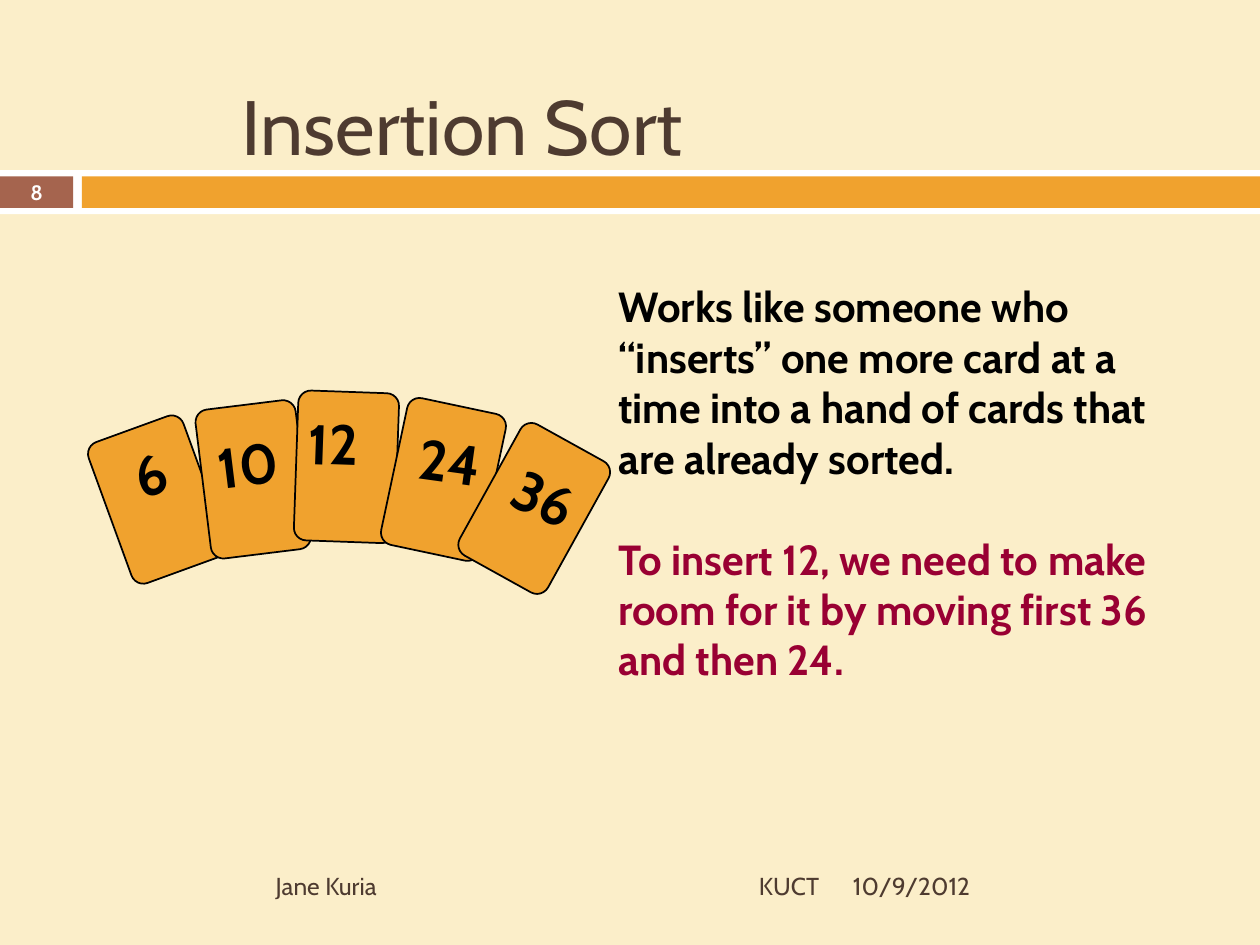
import pptx
import pptx.dml.color
import pptx.enum.shapes
import pptx.enum.text
import pptx.util

COLUMNS, ROWS = 100, 75
ALIGN = pptx.enum.text.PP_ALIGN
ANCHOR = pptx.enum.text.MSO_ANCHOR
AUTO_SIZE = pptx.enum.text.MSO_AUTO_SIZE
SHAPE = pptx.enum.shapes.MSO_SHAPE

CREAM, WHITE, BLACK = "FBEEC9", "FFFFFF", "000000"
RUST, ORANGE, BROWN, CRIMSON = "A5644E", "F0A22E", "4E3B30", "990033"


def color(hex_string):
    return pptx.dml.color.RGBColor.from_string(hex_string)


class SlideBuilder:
    """Holds the style and the current slide; lengths are grid columns and rows."""

    font = "Cabin"

    def __init__(self, presentation, background):
        self.cell_width = presentation.slide_width / COLUMNS
        self.cell_height = presentation.slide_height / ROWS
        self.slide = presentation.slides.add_slide(presentation.slide_layouts[5])
        self.slide.background.fill.solid()
        self.slide.background.fill.fore_color.rgb = color(background)

    def box(self, left, top, width, height):
        return (round(left * self.cell_width), round(top * self.cell_height),
                round(width * self.cell_width), round(height * self.cell_height))

    def format_paragraph(self, paragraph, size, hex_string, bold, align):
        paragraph.alignment = align
        for run in paragraph.runs:
            run.font.name = self.font
            run.font.size = pptx.util.Pt(size)
            run.font.bold = bold
            run.font.color.rgb = color(hex_string)

    def title(self, text, place, size, hex_string):
        shape = self.slide.shapes.title
        shape.left, shape.top, shape.width, shape.height = self.box(*place)
        frame = shape.text_frame
        frame.text = text
        frame.auto_size = AUTO_SIZE.NONE
        frame.vertical_anchor = ANCHOR.BOTTOM
        self.format_paragraph(frame.paragraphs[0], size, hex_string, False, ALIGN.LEFT)

    def block(self, kind, place, fill, line=None, rotation=0):
        shape = self.slide.shapes.add_shape(kind, *self.box(*place))
        shape.shadow.inherit = False
        shape.rotation = rotation
        shape.fill.solid()
        shape.fill.fore_color.rgb = color(fill)
        if line:
            shape.line.color.rgb = color(line)
            shape.line.width = pptx.util.Pt(1)
        else:
            shape.line.fill.background()
        return shape

    def card(self, place, rotation):
        shape = self.block(SHAPE.ROUNDED_RECTANGLE, place, ORANGE, BLACK, rotation)
        shape.adjustments[0] = 0.125

    def text(self, paragraphs, place, size, bold=False, align=ALIGN.LEFT,
             anchor=ANCHOR.TOP, wrap=True, rotation=0, gap=0):
        """Takes paragraphs as (text, colour) pairs; gap is in points."""
        shape = self.slide.shapes.add_textbox(*self.box(*place))
        shape.rotation = rotation
        frame = shape.text_frame
        frame.word_wrap = wrap
        frame.auto_size = AUTO_SIZE.NONE if wrap else AUTO_SIZE.SHAPE_TO_FIT_TEXT
        frame.vertical_anchor = anchor
        for index, (content, hex_string) in enumerate(paragraphs):
            paragraph = frame.add_paragraph() if index else frame.paragraphs[0]
            paragraph.text = content
            if index:
                paragraph.space_before = pptx.util.Pt(gap)
            self.format_paragraph(paragraph, size, hex_string, bold, align)


def main():
    presentation = pptx.Presentation()
    presentation.slide_width = pptx.util.Inches(10)
    presentation.slide_height = pptx.util.Inches(7.5)
    builder = SlideBuilder(presentation, CREAM)

    # Band under the title
    builder.block(SHAPE.RECTANGLE, (0, 13.5, 100, 3.5), WHITE)
    builder.block(SHAPE.RECTANGLE, (0, 14, 5.8, 2.5), RUST)
    builder.block(SHAPE.RECTANGLE, (6.5, 14, 93.5, 2.5), ORANGE)

    # Title and explanation
    builder.title("Insertion Sort", (18.2, 1.6, 64.4, 12.5), 44, BROWN)
    builder.text(
        [("Works like someone who “inserts” one more card at a time into a hand "
          "of cards that are already sorted.", BLACK),
         ("To insert 12, we need to make room for it by moving first 36 and then 24.",
          CRIMSON)],
        (48.1, 21.8, 46.6, 33), 24, bold=True, gap=29)

    # Hand of cards: number, card corner and angle, label corner, width and angle
    hand = [
        ("6", (8.5, 33.7), 340, (9.7, 34.4), 4.5, 341),
        ("10", (16.1, 32.1), 353, (16.3, 33.6), 7, 353),
        ("12", (23.5, 31.1), 2, (23.5, 32), 7, 2),
        ("24", (31.2, 32.1), 12, (32.3, 33.4), 7, 8),
        ("36", (38.4, 34.4), 29, (39.8, 36.3), 7, 25),
    ]
    for number, card_corner, card_angle, label_corner, label_width, label_angle in hand:
        builder.card((*card_corner, 8, 11.9), card_angle)
        builder.text([(number, BLACK)], (*label_corner, label_width, 6.3), 32,
                     bold=True, wrap=False, rotation=label_angle)

    # Slide number and footer
    builder.text([("8", WHITE)], (0, 13.9, 5.8, 2.7), 11.9, bold=True,
                 align=ALIGN.CENTER, anchor=ANCHOR.MIDDLE)
    footer = [
        ("Jane Kuria", 20.9, 20, ALIGN.LEFT),
        ("KUCT", 46, 20, ALIGN.RIGHT),
        ("10/9/2012", 66.7, 29.2, ALIGN.LEFT),
    ]
    for content, left, width, align in footer:
        builder.text([(content, BROWN)], (left, 68.3, width, 4), 14,
                     align=align, anchor=ANCHOR.MIDDLE)

    presentation.save("out.pptx")


if __name__ == "__main__":
    main()
